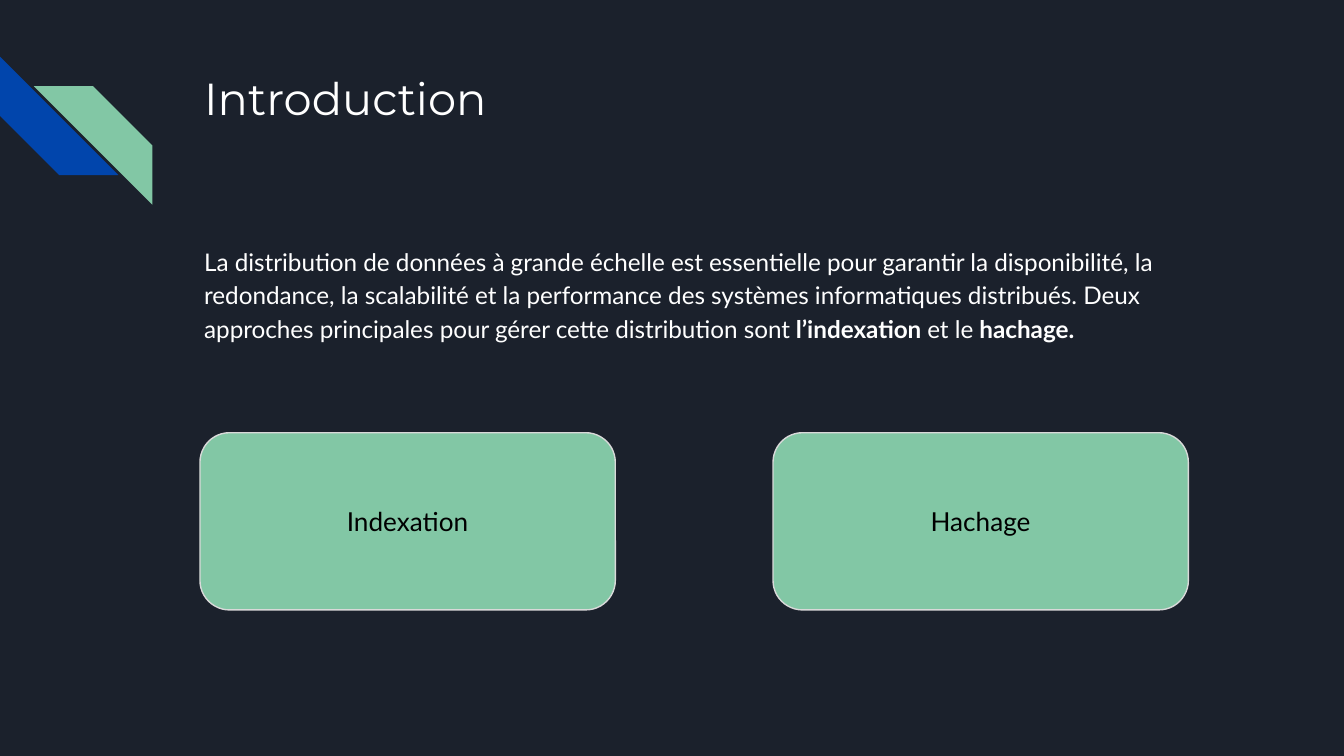
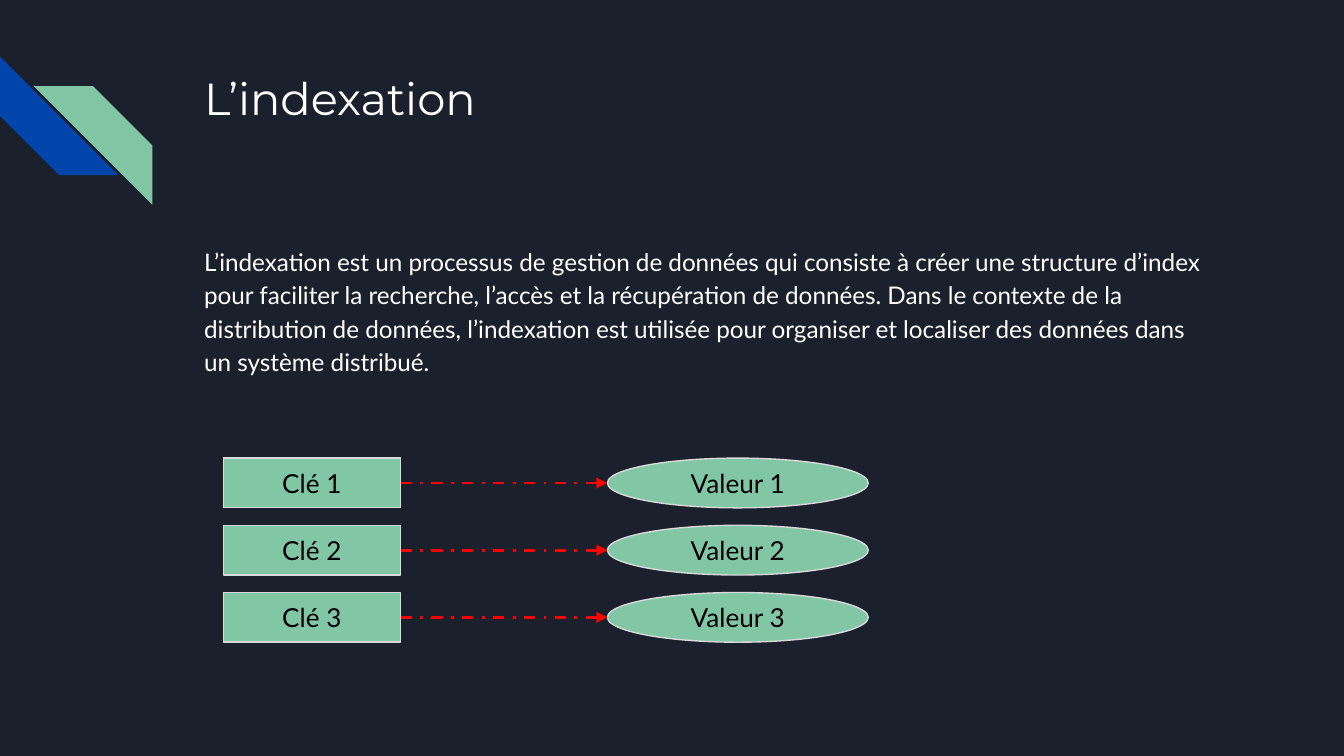
from lxml import etree
from pptx import Presentation
from pptx.dml.color import RGBColor
from pptx.enum.dml import MSO_LINE
from pptx.enum.shapes import MSO_CONNECTOR, MSO_SHAPE
from pptx.enum.text import MSO_ANCHOR, MSO_AUTO_SIZE, PP_ALIGN
from pptx.oxml.ns import qn
from pptx.util import Cm, Pt

STRIPE = MSO_SHAPE.DIAGONAL_STRIPE
RECT = MSO_SHAPE.RECTANGLE
ROUNDED = MSO_SHAPE.ROUNDED_RECTANGLE
OVAL = MSO_SHAPE.OVAL
STRAIGHT = MSO_CONNECTOR.STRAIGHT
DASH_DOT = MSO_LINE.DASH_DOT
TOP, MIDDLE = MSO_ANCHOR.TOP, MSO_ANCHOR.MIDDLE
LEFT, CENTER = PP_ALIGN.LEFT, PP_ALIGN.CENTER
NO_FIT = MSO_AUTO_SIZE.NONE

COLORS = {
    "background": "1B212C",
    "blue": "0145AC",
    "green": "82C7A5",
    "outline": "D9D9D9",
    "arrow": "FF0000",
    "light": "FFFFFF",
    "dark": "000000",
}
TITLE_FONT, BODY_FONT = "Montserrat", "Lato"
TITLE_BOX = (3.61, 1.09, 19.56, 2.54)
INTRO_BOX = (3.61, 4.34, 19.56, 8.08)
INDEX_BOX = (3.61, 4.34, 19.56, 3.68)
CARDS_BOX = (3.78, 8.18, 18.68, 3.35)
PAIRS_BOX = (4.22, 8.66, 12.19, 3.48)


def rgb(name):
    return RGBColor.from_string(COLORS[name])


def set_frame(tf, anchor):
    tf.word_wrap = True
    tf.auto_size = NO_FIT
    tf.vertical_anchor = anchor
    tf.margin_left = tf.margin_right = tf.margin_top = tf.margin_bottom = Cm(0.25)


def set_paragraph(p, font, size, color, align):
    p.alignment = align
    p.font.name = font
    p.font.size = Pt(size)
    p.font.color.rgb = rgb(color)


def add_shape(s, kind, box, fill):
    sp = s.shapes.add_shape(kind, *map(Cm, box))
    sp.shadow.inherit = False
    sp.fill.solid()
    sp.fill.fore_color.rgb = rgb(fill)
    sp.line.fill.background()
    return sp


def add_node(s, kind, box, text):
    sp = add_shape(s, kind, box, "green")
    sp.line.color.rgb = rgb("outline")
    sp.line.width = Pt(0.75)
    set_frame(sp.text_frame, MIDDLE)
    p = sp.text_frame.paragraphs[0]
    p.text = text
    set_paragraph(p, BODY_FONT, 14, "dark", CENTER)
    return sp


def add_arrow(s, source, target):
    y = source.top + source.height // 2
    line = s.shapes.add_connector(STRAIGHT, source.left + source.width, y, target.left, y)
    line.begin_connect(source, 3)
    line.line.color.rgb = rgb("arrow")
    line.line.width = Pt(1.5)
    line.line.dash_style = DASH_DOT
    etree.SubElement(line.line._get_or_add_ln(), qn("a:tailEnd"), type="triangle")
    etree.SubElement(line._element.spPr, qn("a:effectLst"))


def add_stripes(s, x, y, size):
    for dx, dy, color, angle in ((0, 0, "blue", 270), (0.64, 0.56, "green", 90)):
        add_shape(s, STRIPE, (x + dx, y + dy, size, size), color).rotation = angle


def add_title(s, box, text):
    title = s.shapes.title
    title.left, title.top, title.width, title.height = map(Cm, box)
    set_frame(title.text_frame, TOP)
    p = title.text_frame.paragraphs[0]
    p.text = text
    set_paragraph(p, TITLE_FONT, 24, "light", LEFT)


def add_body(s, box, parts):
    tf = s.shapes.add_textbox(*map(Cm, box)).text_frame
    set_frame(tf, TOP)
    p = tf.paragraphs[0]
    p.line_spacing = 1.15
    set_paragraph(p, BODY_FONT, 13, "light", LEFT)
    for text, bold in parts:
        r = p.add_run()
        r.text = text
        r.font.bold = bold


def add_cards(s, box, labels):
    x, y, w, h = box
    card_w = 7.85
    step = (w - card_w) / (len(labels) - 1)
    for i, label in enumerate(labels):
        add_node(s, ROUNDED, (x + i * step, y, card_w, h), label)


def add_pairs(s, box, count):
    x, y, w, h = box
    key_w, value_w, row_h = 3.35, 4.93, 0.94
    step = (h - row_h) / (count - 1)
    for i in range(count):
        top = y + i * step
        key = add_node(s, RECT, (x, top, key_w, row_h), f"Clé {i + 1}")
        value = add_node(s, OVAL, (x + w - value_w, top, value_w, row_h), f"Valeur {i + 1}")
        add_arrow(s, key, value)


def new_slide(prs, title):
    s = prs.slides.add_slide(prs.slide_layouts[5])
    add_stripes(s, 0, 1.07, 2.24)
    add_title(s, TITLE_BOX, title)
    return s


def intro_slide(prs):
    s = new_slide(prs, "Introduction")
    add_body(s, INTRO_BOX, [
        ("La distribution de données à grande échelle est essentielle pour garantir "
         "la disponibilité, la redondance, la scalabilité et la performance des "
         "systèmes informatiques distribués. Deux approches principales pour gérer "
         "cette distribution sont ", False),
        ("l’indexation ", True),
        ("et le ", False),
        ("hachage.", True),
    ])
    add_cards(s, CARDS_BOX, ["Indexation", "Hachage"])


def index_slide(prs):
    s = new_slide(prs, "L’indexation")
    add_body(s, INDEX_BOX, [
        ("L’indexation est un processus de gestion de données qui consiste à créer "
         "une structure d’index pour faciliter la recherche, l’accès et la "
         "récupération de données. Dans le contexte de la distribution de données, "
         "l’indexation est utilisée pour organiser et localiser des données dans un "
         "système distribué.", False),
    ])
    add_pairs(s, PAIRS_BOX, 3)


def main():
    prs = Presentation()
    prs.slide_width, prs.slide_height = Cm(25.4), Cm(14.29)
    fill = prs.slide_master.background.fill
    fill.solid()
    fill.fore_color.rgb = rgb("background")
    intro_slide(prs)
    index_slide(prs)
    prs.save("out.pptx")


if __name__ == "__main__":
    main()
